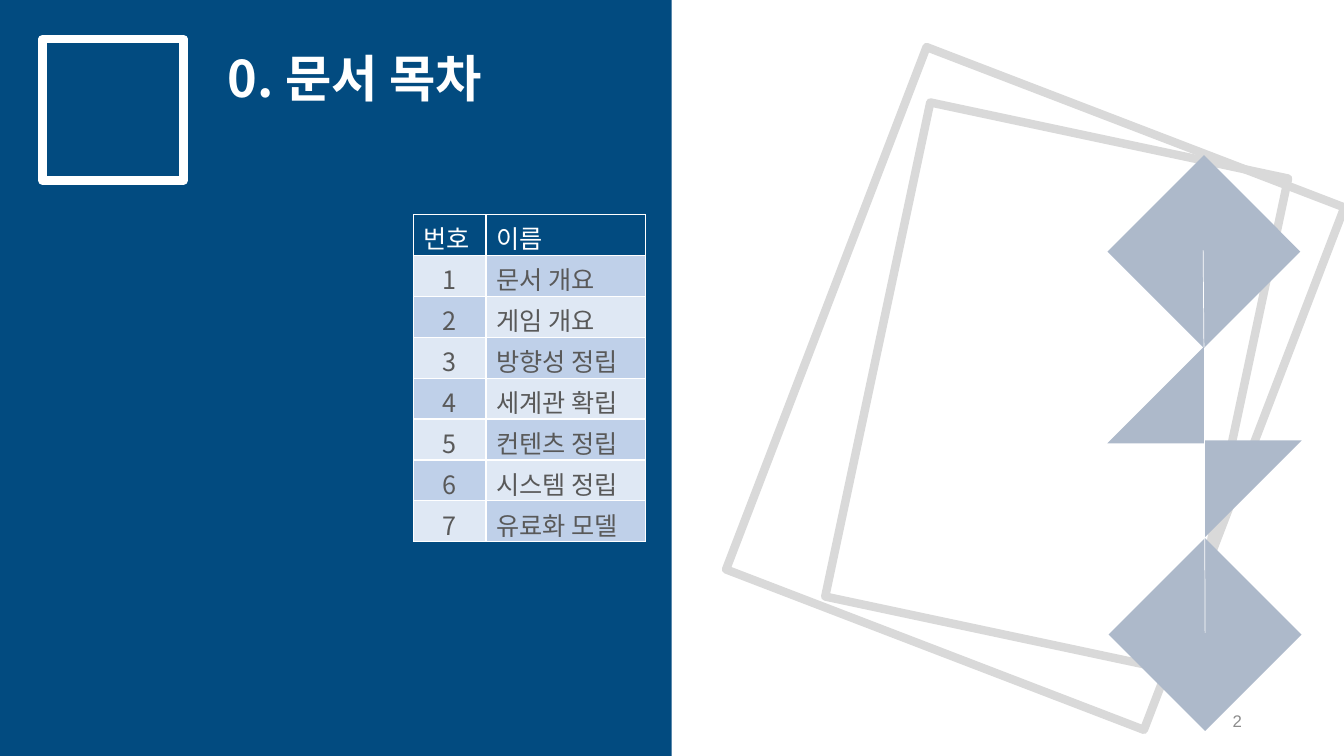
from pptx import Presentation
from pptx.dml.color import RGBColor
from pptx.enum.shapes import MSO_CONNECTOR, MSO_SHAPE
from pptx.enum.text import MSO_ANCHOR, MSO_AUTO_SIZE, PP_ALIGN
from pptx.oxml.ns import qn
from pptx.util import Cm, Pt
from lxml import etree

NAVY = RGBColor(0x02, 0x4B, 0x80)
WHITE = RGBColor(0xFF, 0xFF, 0xFF)
FRAME_GREY = RGBColor(0xD9, 0xD9, 0xD9)
BLUE_GREY = RGBColor(0xAD, 0xB9, 0xCA)
CELL_LIGHT = RGBColor(0xDF, 0xE8, 0xF4)
CELL_DARK = RGBColor(0xBF, 0xD0, 0xE9)
CELL_TEXT = RGBColor(0x59, 0x59, 0x59)
NUMBER_GREY = RGBColor(0x8C, 0x8C, 0x8C)
KOREAN_FONT = "Noto Sans CJK KR"


def add_block(shapes, kind, box, fill=None, line=None, rotation=0):
    block = shapes.add_shape(kind, *[Cm(v) for v in box])
    block.shadow.inherit = False
    block.rotation = rotation
    if fill is None:
        block.fill.background()
    else:
        block.fill.solid()
        block.fill.fore_color.rgb = fill
    if line is None:
        block.line.fill.background()
    else:
        block.line.color.rgb = line
        block.line.width = Pt(6)


def write(frame, text, size, color, font=KOREAN_FONT, align=PP_ALIGN.LEFT, bold=False):
    paragraph = frame.paragraphs[0]
    paragraph.alignment = align
    run = paragraph.add_run()
    run.text = text
    run.font.size, run.font.bold, run.font.name = Pt(size), bold, font
    run.font.color.rgb = color
    etree.SubElement(run.font._element, qn("a:ea"), typeface=font)


prs = Presentation()
prs.slide_width, prs.slide_height = Cm(33.87), Cm(19.05)
slide = prs.slides.add_slide(prs.slide_layouts[6])

# Tilted frames
frames = slide.shapes.add_group_shape().shapes
for box, angle in [((22.02, 3.4, 9.22, 12.73), 12), ((20.45, 2.74, 11.28, 14.1), 21)]:
    add_block(frames, MSO_SHAPE.RECTANGLE, box, line=FRAME_GREY, rotation=angle)

# Left panel with square and title
add_block(slide.shapes, MSO_SHAPE.RECTANGLE, (0, 0, 16.93, 19.05), fill=NAVY)
add_block(slide.shapes, MSO_SHAPE.RECTANGLE, (1.07, 0.99, 3.56, 3.56), line=WHITE)
title = slide.shapes.add_textbox(Cm(5.49), Cm(1.07), Cm(8.81), Cm(1.8)).text_frame
title.word_wrap = True
title.auto_size = MSO_AUTO_SIZE.SHAPE_TO_FIT_TEXT
write(title, "0. 문서 목차", 36, WHITE, bold=True)

# Diamond ornament
ornament = slide.shapes.add_group_shape().shapes
DIAMOND, TRIANGLE = 4.86, 2.43
for kind, left, top, size, angle in [
    (MSO_SHAPE.DIAMOND, 27.91, 3.91, DIAMOND, 0),
    (MSO_SHAPE.RIGHT_TRIANGLE, 27.91, 8.74, TRIANGLE, 270),
    (MSO_SHAPE.RIGHT_TRIANGLE, 30.37, 11.1, TRIANGLE, 90),
    (MSO_SHAPE.DIAMOND, 27.94, 13.56, DIAMOND, 0),
]:
    add_block(ornament, kind, (left, top, size, size), fill=BLUE_GREY, rotation=angle)
for ends in [(30.32, 6.3, 30.34, 8.74), (30.36, 13.52, 30.37, 15.95)]:
    crease = ornament.add_connector(MSO_CONNECTOR.STRAIGHT, *[Cm(v) for v in ends])
    crease.line.color.rgb = WHITE
    crease.line.width = Pt(0.5)
    etree.SubElement(crease._element.spPr, qn("a:effectLst"))

# Page number
number = slide.shapes.add_textbox(Cm(23.93), Cm(17.65), Cm(7.62), Cm(1.01)).text_frame
number.word_wrap = True
number.vertical_anchor = MSO_ANCHOR.MIDDLE
write(number, "2", 12, NUMBER_GREY, font="Arial", align=PP_ALIGN.RIGHT)

# Contents table: checkerboard below the header
names = ["이름", "문서 개요", "게임 개요", "방향성 정립", "세계관 확립",
         "컨텐츠 정립", "시스템 정립", "유료화 모델"]
ROW = 1.03
table = slide.shapes.add_table(len(names), 2, Cm(10.42), Cm(5.41),
                               Cm(5.85), Cm(ROW * len(names))).table
table.columns[0].width, table.columns[1].width = Cm(1.83), Cm(4.02)
for r, name in enumerate(names):
    table.rows[r].height = Cm(ROW)
    for c, text in enumerate([str(r) if r else "번호", name]):
        cell = table.cell(r, c)
        cell.fill.solid()
        if r == 0:
            cell.fill.fore_color.rgb = NAVY
        else:
            cell.fill.fore_color.rgb = CELL_LIGHT if (r + c) % 2 else CELL_DARK
        centred = r > 0 and c == 0
        if centred:
            cell.vertical_anchor = MSO_ANCHOR.MIDDLE
        write(cell.text_frame, text, 18, CELL_TEXT if r else WHITE,
              align=PP_ALIGN.CENTER if centred else PP_ALIGN.LEFT)

prs.save("out.pptx")
